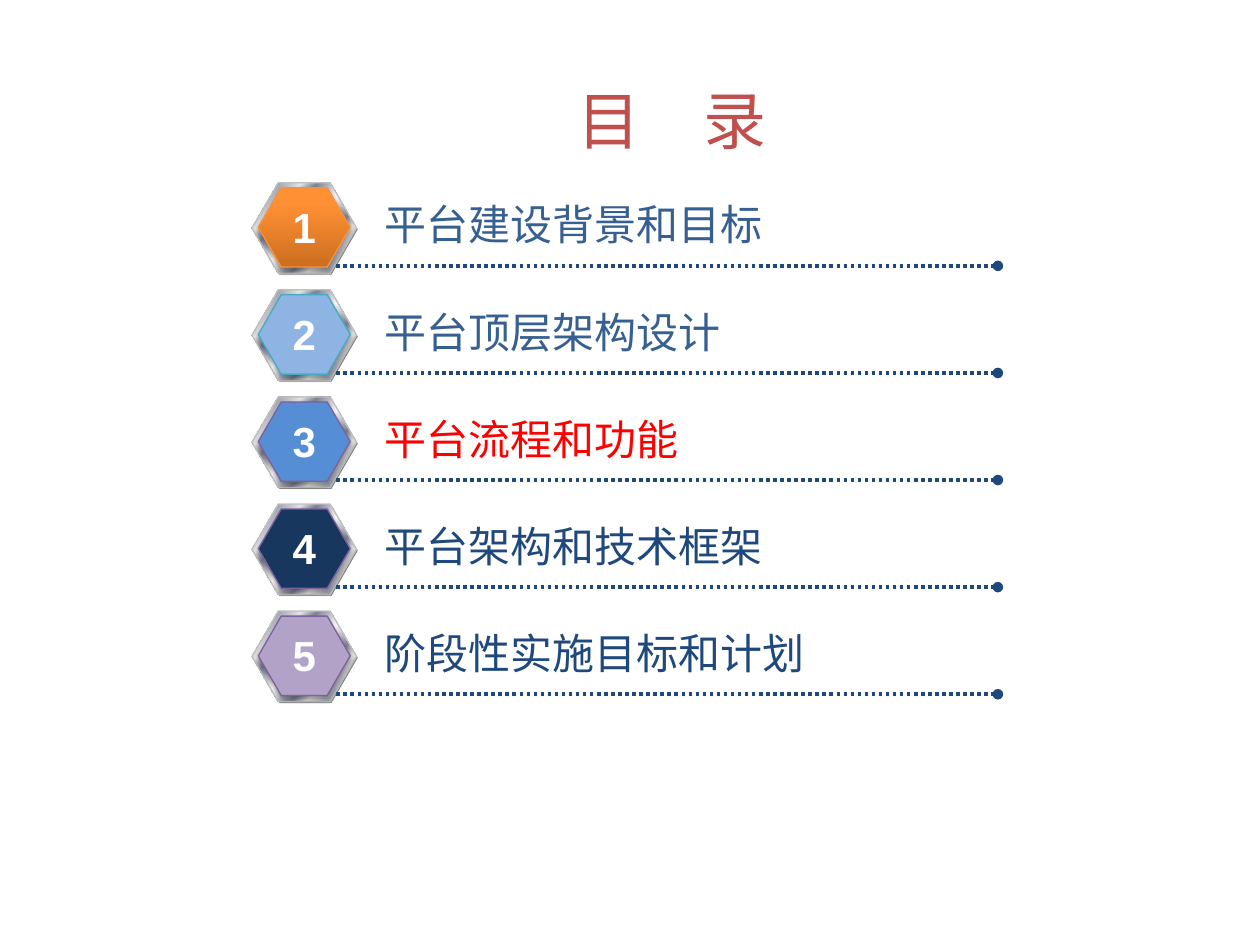
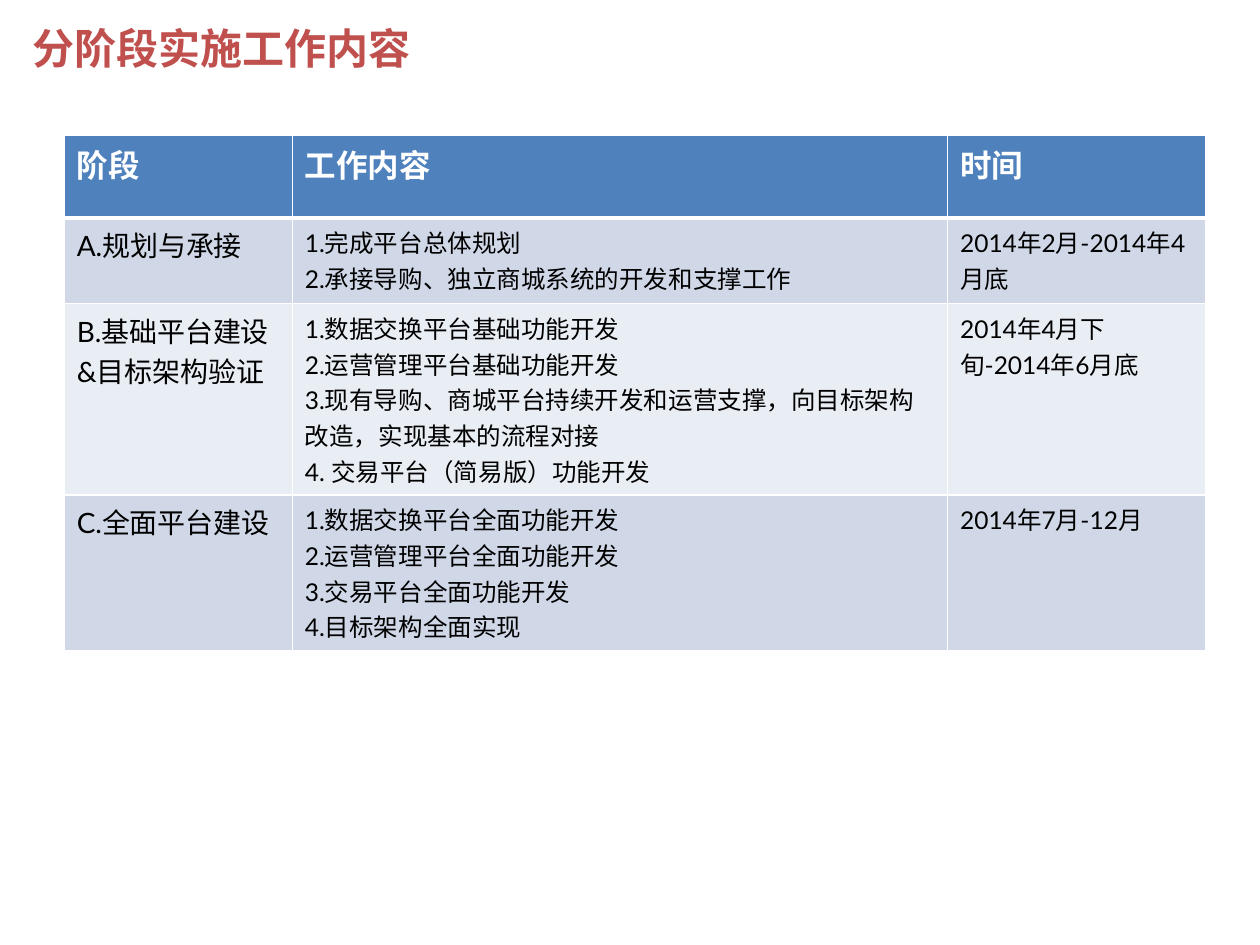
from dataclasses import dataclass

from lxml.etree import SubElement
from pptx import Presentation
from pptx.dml.color import RGBColor
from pptx.enum.dml import MSO_LINE
from pptx.enum.shapes import MSO_CONNECTOR as CONN, MSO_SHAPE as SHAPE
from pptx.enum.text import MSO_AUTO_SIZE as FIT, PP_ALIGN as ALIGN
from pptx.oxml.ns import qn
from pptx.util import Inches, Pt

COLS, ROWS = 200, 150
UNIT = Inches(10) / COLS


@dataclass(frozen=True)
class Theme:
    title: str = "C0504D"
    white: str = "FFFFFF"
    black: str = "000000"
    navy: str = "1F497D"
    blue: str = "376092"
    red: str = "FF0000"
    plate_shade: str = "808080"
    plate_line: str = "C0C0C0"
    header: str = "4F81BD"
    bands: tuple = ("D0D8E8", "E9EDF4")
    metal: tuple = ((0, "E6E6E6"), (8, "7D8496"), (26, "E6E6E6"), (34, "7D8496"),
                    (46, "E6E6E6"), (50, "FFFFFF"), (54, "E6E6E6"), (66, "7D8496"),
                    (74, "E6E6E6"), (92, "7D8496"), (100, "E6E6E6"))
    orange: tuple = ((0, "CC6E20"), (80, "FF9034"), (100, "FF9136"))
    sans: str = "Arial"
    body: str = "Lato"
    cover_size: int = 36
    head_size: int = 24
    th_size: int = 18
    stage_size: int = 16
    cell_size: int = 14


T = Theme()


@dataclass(frozen=True)
class Box:
    """A region measured in grid columns and rows."""
    x: float
    y: float
    w: float
    h: float

    def inner(self, x, y, w, h):
        return Box(self.x + x, self.y + y, w, h)

    def emu(self):
        return [round(n * UNIT) for n in (self.x, self.y, self.w, self.h)]


AGENDA = [  # label, label colour, badge fill, badge outline
    ("平台建设背景和目标", T.blue, T.orange, "F69240"),
    ("平台顶层架构设计", T.blue, "8EB4E3", "46AAC5"),
    ("平台流程和功能", T.red, "558ED5", "7D60A0"),
    ("平台架构和技术框架", T.navy, "17375E", "7D60A0"),
    ("阶段性实施目标和计划", T.navy, "B3A2C7", "7D60A0"),
]

PLAN = [
    ("阶段", ["工作内容"], "时间"),
    ("A.规划与承接",
     ["1.完成平台总体规划", "2.承接导购、独立商城系统的开发和支撑工作"],
     "2014年2月-2014年4月底"),
    ("B.基础平台建设&目标架构验证",
     ["1.数据交换平台基础功能开发", "2.运营管理平台基础功能开发",
      "3.现有导购、商城平台持续开发和运营支撑，向目标架构改造，实现基本的流程对接",
      "4. 交易平台（简易版）功能开发"],
     "2014年4月下旬-2014年6月底"),
    ("C.全面平台建设",
     ["1.数据交换平台全面功能开发", "2.运营管理平台全面功能开发",
      "3.交易平台全面功能开发", "4.目标架构全面实现"],
     "2014年7月-12月"),
]
PLAN_COLS = (36.2, 104, 41)
PLAN_ROWS = (13.2, 13.6, 22.8, 22.8)


def rgb(value):
    return RGBColor.from_string(value)


def font(size, color, name=T.body, bold=False):
    return {"size": Pt(size), "name": name, "bold": bold, "color": color}


def write(tf, lines, fmt, align=ALIGN.LEFT):
    for i, line in enumerate(lines):
        p = tf.paragraphs[0] if i == 0 else tf.add_paragraph()
        p.alignment = align
        r = p.add_run()
        r.text = line
        for key, value in fmt.items():
            if key == "color":
                r.font.color.rgb = rgb(value)
            else:
                setattr(r.font, key, value)


def add_text(shapes, box, text, fmt, align=ALIGN.LEFT, wrap=True, fit=FIT.SHAPE_TO_FIT_TEXT):
    tf = shapes.add_textbox(*box.emu()).text_frame
    tf.word_wrap, tf.auto_size = wrap, fit
    write(tf, [text], fmt, align)


def set_gradient(sp, stops, angle):
    """Fill with any number of stops; angle runs counter-clockwise."""
    sp.fill.gradient()
    sp.fill.gradient_angle = angle
    gs_lst = next(sp._element.iter(qn("a:gsLst")))
    for gs in list(gs_lst):
        gs_lst.remove(gs)
    for pos, color in stops:
        gs = SubElement(gs_lst, qn("a:gs"), pos=str(pos * 1000))
        SubElement(gs, qn("a:srgbClr"), val=color)


def add_soft_shadow(sp):
    effects = sp._element.spPr.find(qn("a:effectLst"))
    shadow = SubElement(effects, qn("a:outerShdw"), blurRad="40000", dist="23000",
                        dir="5400000", rotWithShape="0")
    color = SubElement(shadow, qn("a:srgbClr"), val=T.black)
    SubElement(color, qn("a:alpha"), val="35000")


def add_hexagon(shapes, box, fill, line=None, angle=90):
    sp = shapes.add_shape(SHAPE.HEXAGON, *box.emu())
    sp.adjustments[0] = 0.29
    sp.shadow.inherit = False
    if isinstance(fill, tuple):
        set_gradient(sp, fill, angle)
    else:
        sp.fill.solid()
        sp.fill.fore_color.rgb = rgb(fill)
    if line:
        sp.line.color.rgb = rgb(line)
        sp.line.width = Pt(0.75)
    else:
        sp.line.fill.background()
    return sp


def add_dotted_rule(shapes, box):
    x, y, w, _ = box.emu()
    c = shapes.add_connector(CONN.STRAIGHT, x, y, x + w, y)
    c.line.color.rgb = rgb(T.navy)
    c.line.width = Pt(2)
    c.line.dash_style = MSO_LINE.ROUND_DOT
    sp_pr = c._element.spPr
    SubElement(sp_pr.find(qn("a:ln")), qn("a:tailEnd"), type="oval")
    SubElement(sp_pr, qn("a:effectLst"))


def agenda_item(slide, box, number, label, color, fill, outline):
    shapes = slide.shapes.add_group_shape().shapes
    add_hexagon(shapes, box.inner(0.2, 0.2, 16.6, 14.4), T.plate_shade)
    add_hexagon(shapes, box.inner(0, 0, 16.6, 14.4), T.metal, T.plate_line, angle=315)
    add_soft_shadow(add_hexagon(shapes, box.inner(1, 0.8, 14.6, 12.6), fill, outline))
    add_dotted_rule(shapes, box.inner(13.4, 13.2, 105, 0))
    add_text(shapes, box.inner(19, 1.6, 97.6, 10.2), label, font(T.head_size, color, T.sans))
    add_text(shapes, box.inner(4.4, 2, 7.8, 10), str(number),
             font(T.head_size, T.white, T.sans, True), ALIGN.CENTER, wrap=False)


def agenda_slide(slide):
    add_text(slide.shapes, Box(80.2, 12, 52.8, 14.2), "目　录",
             font(T.cover_size, T.title), ALIGN.CENTER)
    pitch = 17
    agenda = Box(40, 29, 118.4, pitch * len(AGENDA))
    for i, item in enumerate(AGENDA):
        agenda_item(slide, agenda.inner(0, i * pitch, agenda.w, pitch), i + 1, *item)


def style_cell(cell, lines, fmt, fill, is_header):
    tc_pr = cell._tc.get_or_add_tcPr()
    for side in "LRTB":
        width = Pt(3 if is_header and side == "B" else 1)
        ln = SubElement(tc_pr, qn(f"a:ln{side}"), w=str(int(width)))
        SubElement(SubElement(ln, qn("a:solidFill")), qn("a:srgbClr"), val=T.white)
    cell.fill.solid()
    cell.fill.fore_color.rgb = rgb(fill)
    write(cell.text_frame, lines, fmt)


def plan_table(slide, box):
    table = slide.shapes.add_table(len(PLAN_ROWS), len(PLAN_COLS), *box.emu()).table
    for column, width in zip(table.columns, PLAN_COLS):
        column.width = round(width * UNIT)
    for i, (row, height) in enumerate(zip(table.rows, PLAN_ROWS)):
        row.height = round(height * UNIT)
        is_header = i == 0
        fill = T.header if is_header else T.bands[(i - 1) % 2]
        stage, tasks, period = PLAN[i]
        for j, lines in enumerate(([stage], tasks, [period])):
            size = T.stage_size if j == 0 else T.cell_size
            fmt = font(T.th_size, T.white, bold=True) if is_header else font(size, T.black)
            style_cell(table.cell(i, j), lines, fmt, fill, is_header)


def plan_slide(slide):
    add_text(slide.shapes, Box(3.2, 2.6, 139, 9.4), "分阶段实施工作内容",
             font(T.head_size, T.title, T.sans, True), fit=FIT.NONE)
    plan_table(slide, Box(10.2, 21.4, sum(PLAN_COLS), sum(PLAN_ROWS)))


def main():
    prs = Presentation()
    prs.slide_width, prs.slide_height = round(COLS * UNIT), round(ROWS * UNIT)
    for build in (agenda_slide, plan_slide):
        build(prs.slides.add_slide(prs.slide_layouts[6]))
    prs.save("out.pptx")


if __name__ == "__main__":
    main()
